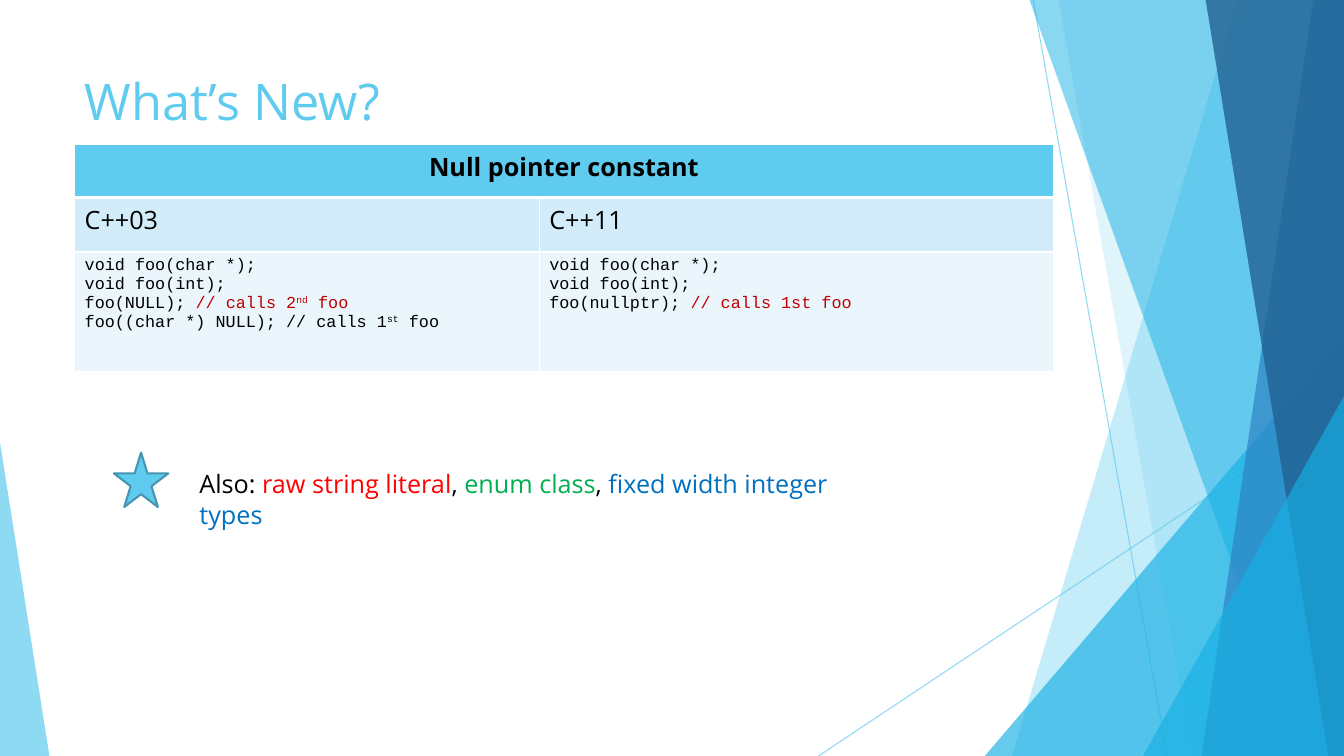
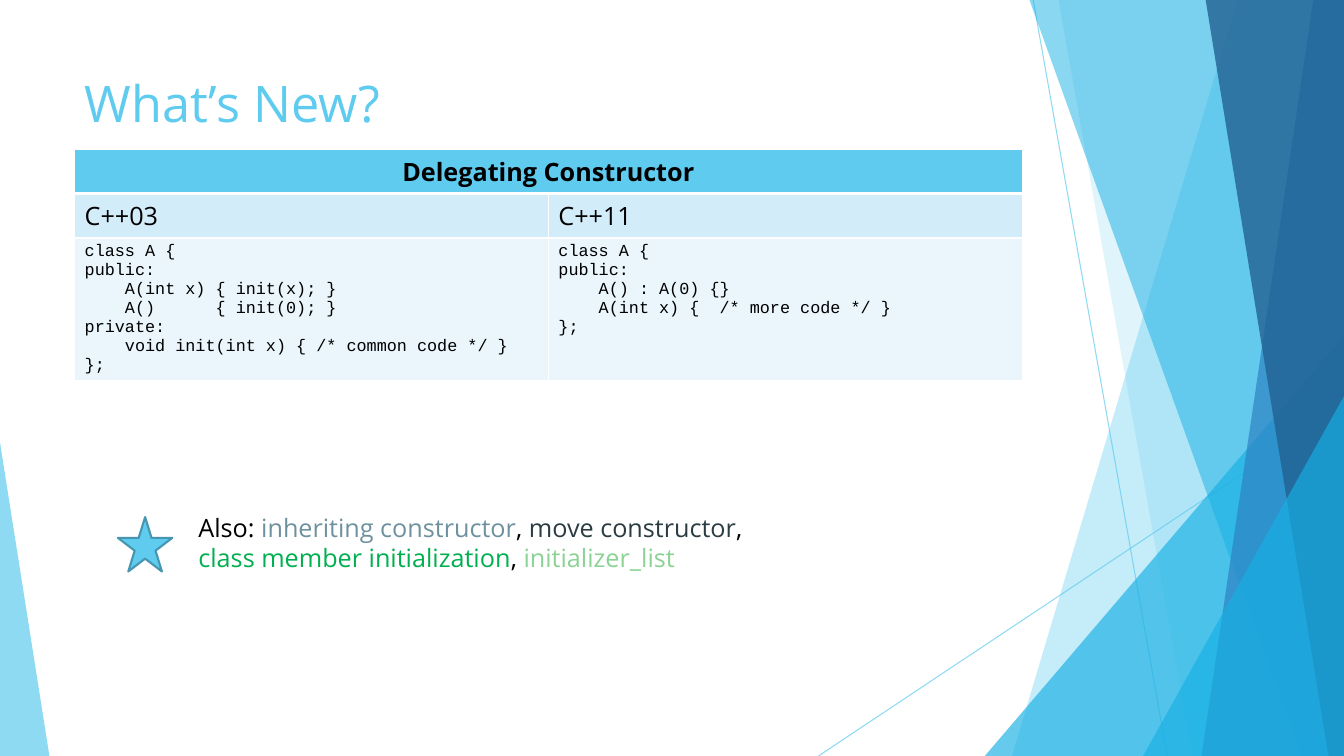
from dataclasses import dataclass
from typing import Any, NamedTuple

from lxml.etree import SubElement
from pptx import Presentation
from pptx.dml.color import RGBColor as RGB
from pptx.enum.shapes import MSO_CONNECTOR as CONN, MSO_SHAPE as SHAPE
from pptx.enum.text import MSO_ANCHOR as ANCHOR, MSO_AUTO_SIZE as FIT, PP_ALIGN as ALIGN
from pptx.oxml.ns import qn
from pptx.util import Pt

WIDTH, HEIGHT, TOP = 960, 540, -0.72
BLACK = RGB(0x00, 0x00, 0x00)
WHITE = RGB(0xFF, 0xFF, 0xFF)
SKY = RGB(0x5F, 0xCB, 0xEF)
CYAN = RGB(0x17, 0xB0, 0xE4)
BLUE = RGB(0x2E, 0x83, 0xC3)
NAVY = RGB(0x22, 0x62, 0x92)
STAR_EDGE = RGB(0x46, 0x96, 0xB1)
LABEL_FILL = RGB(0xD2, 0xEC, 0xF9)
CODE_FILL = RGB(0xEA, 0xF6, 0xFC)
DARK_RED = RGB(0xC0, 0x00, 0x00)
RED = RGB(0xFF, 0x00, 0x00)
GREEN = RGB(0x00, 0xB0, 0x50)
MID_BLUE = RGB(0x00, 0x70, 0xC0)
SLATE = RGB(0x6E, 0x91, 0xA0)
CHARCOAL = RGB(0x2C, 0x3C, 0x43)
MINT = RGB(0x8A, 0xD3, 0x94)

TITLE = {"name": "Open Sans", "size": Pt(36), "bold": False}
TEXT = {"name": "Open Sans", "size": Pt(18), "bold": False}
HEADING = {**TEXT, "bold": True}
CODE = {"name": "Courier New", "size": Pt(12), "bold": False}


class Span(NamedTuple):
    text: str
    color: RGB = BLACK
    raised: bool = False


class Box(NamedTuple):
    left: float
    top: float
    width: float
    height: float

    def emu(self) -> tuple:
        return tuple(Pt(v) for v in self)


class Ray(NamedTuple):
    x1: float
    y1: float
    x2: float
    y2: float


class Band(NamedTuple):
    top_x: float
    bottom_x: float
    color: RGB
    alpha: int


class Wedge(NamedTuple):
    box: Box
    peak: float
    color: RGB
    alpha: int


Lines = list[list[Span]]


@dataclass
class Comparison:
    title_box: Box
    heading: str
    table_box: Box
    cols: list[float]
    rows: list[float]
    old_code: Lines
    new_code: Lines
    star: Box
    also_box: Box
    also: Lines


RAYS = [Ray(738, 0, 833.76, HEIGHT), Ray(WIDTH, 290.16, 584.64, HEIGHT)]
PANELS = [
    Band(884.16, 722.88, SKY, 36),
    Band(756, 851.76, SKY, 20),
    Wedge(Box(703.44, 239.76, 256.56, 300.24), 1, CYAN, 66),
    Band(735.12, 929.52, CYAN, 50),
    Band(938.16, 858.24, BLUE, 70),
    Band(861.12, 948.96, NAVY, 80),
    Wedge(Box(816.48, 282.96, 143.52, 257.04), 1, CYAN, 66),
    Wedge(Box(0, 316.08, 35.28, 223.92), 0, SKY, 70),
]


def plain(text: str) -> Lines:
    return [[Span(line)] for line in text.split("\n")]


def assign(target: Any, values: dict) -> None:
    for name, value in values.items():
        setattr(target, name, value)


def write(tf: Any, lines: Lines, fmt: dict, align: Any = ALIGN.LEFT) -> None:
    for i, spans in enumerate(lines):
        p = tf.paragraphs[0] if i == 0 else tf.add_paragraph()
        p.alignment = align
        for span in spans:
            r = p.add_run()
            r.text = span.text
            assign(r.font, fmt)
            r.font.color.rgb = span.color
            if span.raised:
                r._r.get_or_add_rPr().set("baseline", "30000")


def paint(sp: Any, color: RGB) -> None:
    sp.shadow.inherit = False
    sp.fill.solid()
    sp.fill.fore_color.rgb = color
    sp.line.fill.background()


def fade(sp: Any, alpha: int) -> None:
    color = sp.element.find(".//" + qn("a:srgbClr"))
    SubElement(color, qn("a:alpha")).set("val", str(alpha * 1000))


def draw_ray(shapes: Any, ray: Ray) -> None:
    sp = shapes.add_connector(CONN.STRAIGHT, *(Pt(v) for v in ray))
    sp.line.color.rgb = SKY
    sp.line.width = Pt(0.75)
    fade(sp, 70)
    SubElement(sp.element.spPr, qn("a:effectLst"))


def draw_panel(shapes: Any, panel: Band | Wedge) -> None:
    if isinstance(panel, Band):
        corners = [(WIDTH, TOP), (WIDTH, HEIGHT), (panel.bottom_x, HEIGHT)]
        outline = shapes.build_freeform(Pt(panel.top_x), Pt(TOP))
        outline.add_line_segments([(Pt(x), Pt(y)) for x, y in corners], close=True)
        sp = outline.convert_to_shape()
    else:
        sp = shapes.add_shape(SHAPE.ISOSCELES_TRIANGLE, *panel.box.emu())
        sp.adjustments[0] = panel.peak
    paint(sp, panel.color)
    fade(sp, panel.alpha)


def move_backdrop_to_layout(s: Any, layout: Any) -> None:
    tree = layout.shapes.element
    for sp in list(layout.placeholders):
        if sp.placeholder_format.idx != 0:
            tree.remove(sp.element)
    backdrop = s.shapes.add_group_shape()
    for ray in RAYS:
        draw_ray(backdrop.shapes, ray)
    for panel in PANELS:
        draw_panel(backdrop.shapes, panel)
    tree.insert(2, backdrop.element)


def border(cell: Any, bottom: float) -> None:
    tc_pr = cell._tc.get_or_add_tcPr()
    for side, width in (("L", 1), ("R", 1), ("T", 1), ("B", bottom)):
        ln = SubElement(tc_pr, qn("a:ln" + side), w=str(Pt(width)))
        fill = SubElement(ln, qn("a:solidFill"))
        SubElement(fill, qn("a:srgbClr"), val=str(WHITE))


def draw_table(s: Any, item: Comparison) -> None:
    table = s.shapes.add_table(3, 2, *item.table_box.emu()).table
    for col, width in zip(table.columns, item.cols):
        col.width = Pt(width)
    for row, height in zip(table.rows, item.rows):
        row.height = Pt(height)
    table.cell(0, 0).merge(table.cell(0, 1))
    grid = [
        ([plain(item.heading), []], HEADING, SKY, ALIGN.CENTER, 3),
        ([plain("C++03"), plain("C++11")], TEXT, LABEL_FILL, ALIGN.LEFT, 1),
        ([item.old_code, item.new_code], CODE, CODE_FILL, ALIGN.LEFT, 1),
    ]
    for row, (contents, fmt, color, align, bottom) in zip(table.rows, grid):
        for cell, lines in zip(row.cells, contents):
            border(cell, bottom)
            cell.fill.solid()
            cell.fill.fore_color.rgb = color
            write(cell.text_frame, lines, fmt, align)


def draw_star(s: Any, box: Box) -> None:
    sp = s.shapes.add_shape(SHAPE.STAR_5_POINT, *box.emu())
    paint(sp, SKY)
    sp.line.color.rgb = STAR_EDGE
    sp.line.width = Pt(1.5)


def draw_slide(s: Any, item: Comparison) -> None:
    title = s.shapes.title
    assign(title, dict(zip(("left", "top", "width", "height"), item.title_box.emu())))
    assign(title.text_frame, {"vertical_anchor": ANCHOR.TOP, "auto_size": FIT.NONE, "word_wrap": True})
    write(title.text_frame, [[Span("What’s New?", SKY)]], TITLE)
    draw_table(s, item)
    draw_star(s, item.star)
    tf = s.shapes.add_textbox(*item.also_box.emu()).text_frame
    assign(tf, {"word_wrap": True, "auto_size": FIT.SHAPE_TO_FIT_TEXT})
    write(tf, item.also, TEXT)


COMPARISONS = [
    Comparison(
        title_box=Box(53.28, 46.8, 676.8, 55.44),
        heading="Null pointer constant",
        table_box=Box(53.28, 102.96, 699.12, 162.72),
        cols=[331.92, 367.2],
        rows=[38.16, 38.88, 85.68],
        old_code=plain("void foo(char *);\nvoid foo(int);") + [
            [Span("foo(NULL); "), Span("// calls 2", DARK_RED),
             Span("nd", DARK_RED, True), Span(" foo", DARK_RED)],
            [Span("foo((char *) NULL); // calls 1"), Span("st", raised=True), Span(" foo")],
        ],
        new_code=plain("void foo(char *);\nvoid foo(int);") + [
            [Span("foo(nullptr); "), Span("// calls 1st foo", DARK_RED)],
        ],
        star=Box(81.36, 323.28, 38.88, 38.88),
        also_box=Box(135.36, 331.2, 507.6, 28.8),
        also=[[Span("Also: "), Span("raw string literal", RED), Span(", "),
               Span("enum class", GREEN), Span(", "),
               Span("fixed width integer types", MID_BLUE)]],
    ),
    Comparison(
        title_box=Box(53.28, 48.24, 676.8, 58.32),
        heading="Delegating Constructor",
        table_box=Box(53.28, 106.56, 676.8, 161.04),
        cols=[338.4, 338.4],
        rows=[29.52, 29.52, 102],
        old_code=plain(
            "class A {\npublic:\n    A(int x) { init(x); }\n    A()      { init(0); }\n"
            "private:\n    void init(int x) { /* common code */ }\n};"
        ),
        new_code=plain(
            "class A {\npublic:\n    A() : A(0) {}\n    A(int x) {  /* more code */ }\n};"
        ),
        star=Box(84.24, 369.36, 38.88, 38.88),
        also_box=Box(134.64, 362.16, 405.36, 51.12),
        also=[
            [Span("Also: "), Span("inheriting constructor", SLATE), Span(", "),
             Span("move constructor", CHARCOAL), Span(", ")],
            [Span("class member initialization", GREEN), Span(", "),
             Span("initializer_list", MINT)],
        ],
    ),
]


def main() -> None:
    prs = Presentation()
    assign(prs, {"slide_width": Pt(WIDTH), "slide_height": Pt(HEIGHT)})
    layout = prs.slide_layouts[5]
    slides = [prs.slides.add_slide(layout) for _ in COMPARISONS]
    move_backdrop_to_layout(slides[0], layout)
    for s, item in zip(slides, COMPARISONS):
        draw_slide(s, item)
    prs.save("out.pptx")


main()
